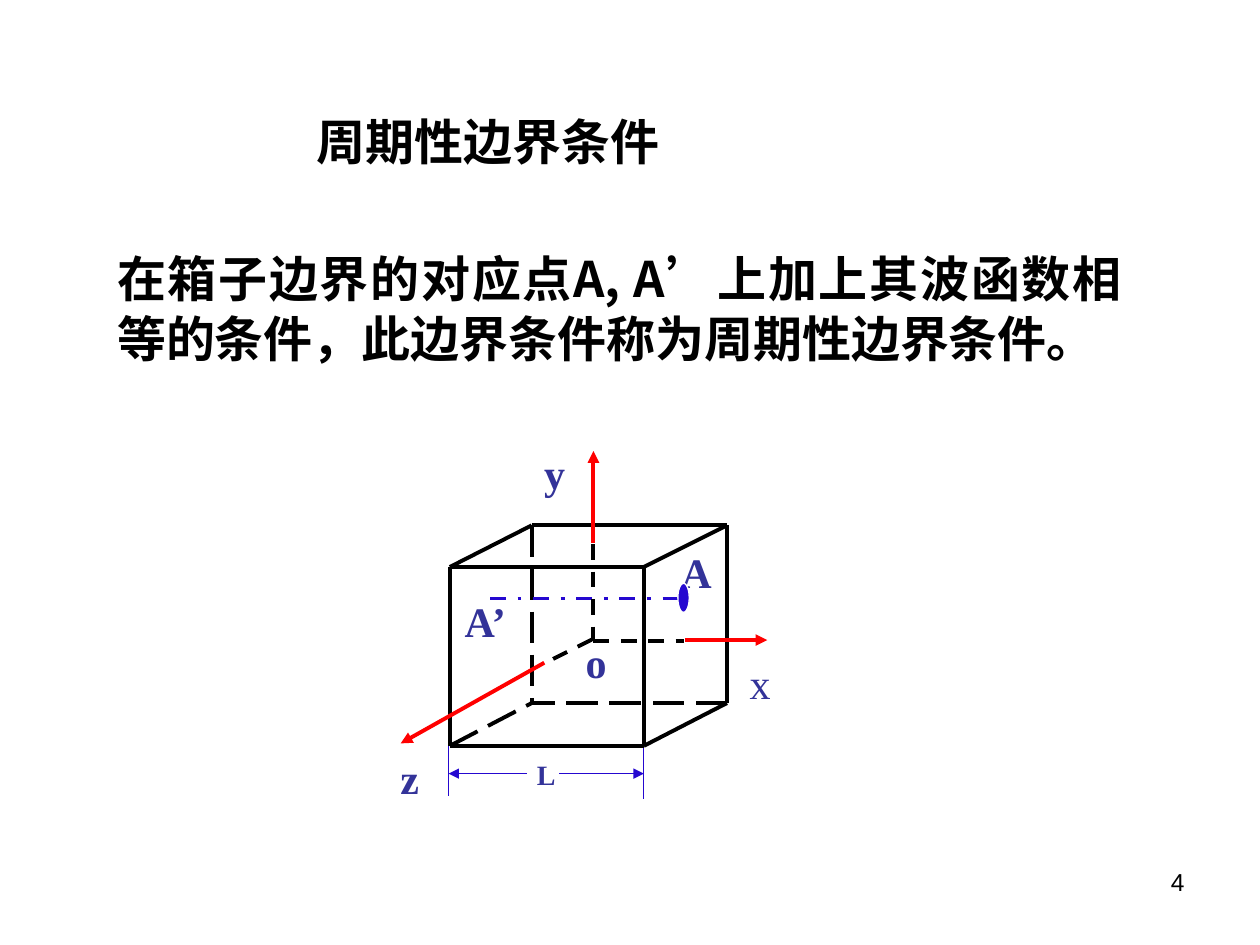
from dataclasses import dataclass

from lxml.etree import SubElement
from pptx import Presentation
from pptx.dml.color import RGBColor
from pptx.enum.dml import MSO_LINE_DASH_STYLE as Dash
from pptx.enum.shapes import MSO_CONNECTOR as Connector, MSO_SHAPE as Shape
from pptx.enum.text import MSO_ANCHOR as Anchor, MSO_AUTO_SIZE as AutoSize, PP_ALIGN as Align
from pptx.oxml.ns import qn
from pptx.util import Emu, Pt

PX = 9144  # one hundred px to the inch


@dataclass(frozen=True)
class Theme:
    black: str = "000000"
    white: str = "FFFFFF"
    axis: str = "FF0000"
    measure: str = "2508D0"
    label: str = "333399"
    chinese: str = "Noto Sans CJK SC"
    serif: str = "Times New Roman"
    sans: str = "Arial"
    heading_size: int = 28
    label_size: int = 24
    small_size: int = 16
    number_size: int = 14
    heading_spacing: int = 34
    thick: float = 2.25
    thin: float = 0.75


def px(*lengths):
    return [Emu(length * PX) for length in lengths]


class SlideBuilder:
    def __init__(self, slide, theme):
        self.slide = slide
        self.theme = theme
        self.diagram = slide.shapes.add_group_shape().shapes

    def style_run(self, run, size, font, color, bold):
        run.font.size = Pt(size)
        run.font.name = font
        run.font.bold = bold
        run.font.color.rgb = RGBColor.from_string(color)

    def heading(self, placeholder, box, parts, align):
        """Fill a placeholder with (text, font) parts in the heading style."""
        theme = self.theme
        placeholder.left, placeholder.top, placeholder.width, placeholder.height = px(*box)
        frame = placeholder.text_frame
        frame.auto_size = AutoSize.NONE
        frame.vertical_anchor = Anchor.TOP
        paragraph = frame.paragraphs[0]
        paragraph.alignment = align
        paragraph.space_before = Pt(0)
        paragraph.line_spacing = Pt(theme.heading_spacing)
        properties = paragraph._p.get_or_add_pPr()
        properties.set("marL", "0")
        properties.set("indent", "0")
        SubElement(properties, qn("a:buNone"))
        for text, font in parts:
            run = paragraph.add_run()
            run.text = text
            self.style_run(run, theme.heading_size, font, theme.black, True)
            SubElement(run._r.rPr, qn("a:ea")).set("typeface", theme.chinese)

    def text(self, shapes, text, box, size, font, color, bold=True, align=Align.LEFT):
        frame = shapes.add_textbox(*px(*box)).text_frame
        frame.word_wrap = True
        frame.text = text
        paragraph = frame.paragraphs[0]
        paragraph.alignment = align
        self.style_run(paragraph.runs[0], size, font, color, bold)

    def label(self, text, box, size=None, **options):
        theme = self.theme
        self.text(self.diagram, text, box, size or theme.label_size,
                  theme.serif, theme.label, **options)

    def shape(self, kind, box, fill, line_width):
        shape = self.diagram.add_shape(kind, *px(*box))
        shape.shadow.inherit = False
        shape.fill.solid()
        shape.fill.fore_color.rgb = RGBColor.from_string(fill)
        shape.line.color.rgb = RGBColor.from_string(self.theme.white)
        shape.line.width = Pt(line_width)

    def line(self, start, end, color, width=None, dash=None, arrow=False):
        connector = self.diagram.add_connector(Connector.STRAIGHT, *px(*start, *end))
        connector.line.color.rgb = RGBColor.from_string(color)
        connector.line.width = Pt(width or self.theme.thick)
        if dash:
            connector.line.dash_style = dash
        if arrow:
            SubElement(connector.line._get_or_add_ln(), qn("a:tailEnd")).set("type", "triangle")
        SubElement(connector._element.spPr, qn("a:effectLst"))


def draw_box(builder):
    color = builder.theme.black
    left, right, top, bottom = 357, 511, 450, 592
    back_left, back_right, back_top, back_bottom = 422, 577, 417, 558
    front = [(left, top), (right, top), (right, bottom), (left, bottom)]
    back = [(back_left, back_top), (back_right, back_top),
            (back_right, back_bottom), (back_left, back_bottom)]
    hidden = back[3]
    edges = list(zip(front, back))
    for face in (front, back):
        edges += zip(face, face[1:] + face[:1])
    for start, end in edges:
        if end == hidden:
            builder.line(start, end, color, dash=Dash.LONG_DASH)
        elif start == hidden:
            builder.line(end, start, color, dash=Dash.LONG_DASH)
        else:
            builder.line(start, end, color)


def draw_axes(builder):
    theme = builder.theme
    for start, end in [((471, 431), (471, 358)), ((432, 526), (318, 590)), ((544, 508), (609, 508))]:
        builder.line(start, end, theme.axis, arrow=True)
    for start, end in [((439, 523), (471, 507)), ((471, 509), (543, 509)), ((471, 432), (471, 509))]:
        builder.line(start, end, theme.black, dash=Dash.DASH)
    builder.label("x", (585, 517, 49, 50), bold=False)
    for text, box in [("y", (422, 350, 41, 50)), ("z", (308, 592, 41, 50)),
                      ("A", (531, 429, 49, 50)), ("A’", (359, 468, 73, 50)),
                      ("o", (455, 500, 49, 50))]:
        builder.label(text, box)


def draw_measure(builder):
    theme = builder.theme
    for x, y in [(356, 592), (511, 594)]:
        builder.line((x, y), (x, y + 40), theme.measure, theme.thin)
    for start, end in [(444, 511), (418, 356)]:
        builder.line((start, 614), (end, 614), theme.measure, theme.thin, arrow=True)
    builder.label("L", (407, 596, 53, 37), theme.small_size, align=Align.CENTER)


def main():
    theme = Theme()
    presentation = Presentation()
    presentation.slide_width, presentation.slide_height = px(1000, 750)
    slide = presentation.slides.add_slide(presentation.slide_layouts[1])
    builder = SlideBuilder(slide, theme)

    builder.heading(slide.shapes.title, (125, 83, 525, 57),
                    [("周期性边界条件", theme.chinese)], Align.CENTER)
    builder.heading(slide.placeholders[1], (83, 192, 817, 104),
                    [("在箱子边界的对应点A, A", theme.chinese), ("’", theme.serif),
                     ("上加上其波函数相等的条件，此边界条件称为周期性边界条件。", theme.chinese)],
                    Align.JUSTIFY)

    builder.shape(Shape.RECTANGLE, (300, 342, 334, 317), theme.white, theme.thick)
    draw_box(builder)
    builder.line((389, 475), (544, 475), theme.measure, dash=Dash.DASH_DOT)
    draw_axes(builder)
    builder.shape(Shape.OVAL, (538, 463, 9, 23), theme.measure, theme.thin)
    draw_measure(builder)

    builder.text(slide.shapes, "4", (717, 683, 233, 52), theme.number_size,
                 theme.sans, theme.black, bold=False, align=Align.RIGHT)
    presentation.save("out.pptx")


if __name__ == "__main__":
    main()
